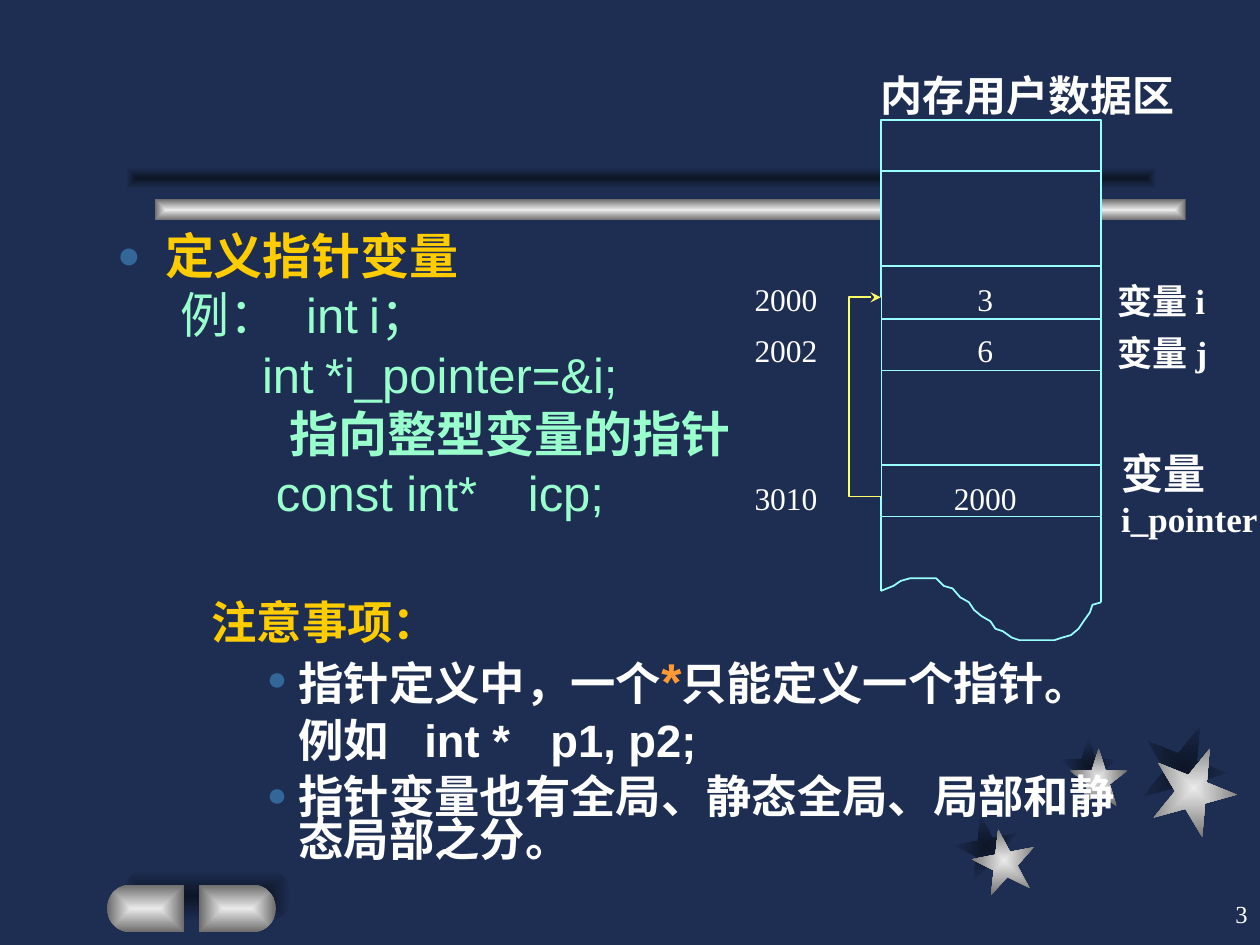
import math

from lxml import etree
from pptx import Presentation
from pptx.dml.color import RGBColor
from pptx.enum.shapes import MSO_CONNECTOR, MSO_SHAPE
from pptx.enum.text import MSO_ANCHOR, MSO_AUTO_SIZE, PP_ALIGN
from pptx.oxml.ns import qn
from pptx.util import Inches, Pt

STAR, RECT, ROUND = MSO_SHAPE.STAR_5_POINT, MSO_SHAPE.RECTANGLE, MSO_SHAPE.ROUNDED_RECTANGLE
STRAIGHT = MSO_CONNECTOR.STRAIGHT
LEFT, CENTER, RIGHT = PP_ALIGN.LEFT, PP_ALIGN.CENTER, PP_ALIGN.RIGHT
MIDDLE, TOP = MSO_ANCHOR.MIDDLE, MSO_ANCHOR.TOP
NO_FIT = MSO_AUTO_SIZE.NONE

COLORS = {
    "navy": "1E2E53", "shade": "0D1526", "silver": "EAEAEA", "gray": "6B6B6B",
    "gold": "FFCC00", "mint": "99FFCC", "white": "FFFFFF", "orange": "FF9933",
    "bullet": "336699", "cell": "99FFFF", "pointer": "FFFF66",
}
SHADOW = ("shade", "navy")
METAL = ("silver", "gray")
SANS, SERIF = "Arial", "Times New Roman"

MEMORY_LEFT, MEMORY_RIGHT = 6.99, 8.74
MEMORY_TOP, MEMORY_BOTTOM = 0.95, 4.1
TORN_EDGE = [
    (6.99, 4.69), (7.09, 4.65), (7.15, 4.61), (7.22, 4.59), (7.43, 4.59), (7.49, 4.65),
    (7.56, 4.67), (7.62, 4.74), (7.69, 4.78), (7.73, 4.84), (7.79, 4.89), (7.86, 4.93),
    (7.9, 4.99), (7.96, 5.01), (8.03, 5.06), (8.09, 5.08), (8.37, 5.08), (8.43, 5.06),
    (8.5, 5.04), (8.56, 4.99), (8.6, 4.93), (8.65, 4.86), (8.67, 4.8), (8.74, 4.78),
]


def rgb(name):
    return RGBColor.from_string(COLORS[name])


def box(left, top, width, height):
    return [Inches(value) for value in (left, top, width, height)]


def fill_from_center(shape, gradient):
    """Fill with a rectangular gradient that runs from the middle outwards."""
    shape.fill.gradient()
    for stop, color in zip(shape.fill.gradient_stops, gradient):
        stop.color.rgb = rgb(color)
    grad = shape.element.spPr.find(qn("a:gradFill"))
    grad.remove(grad.find(qn("a:lin")))
    path = etree.SubElement(grad, qn("a:path"), path="rect")
    etree.SubElement(path, qn("a:fillToRect"), l="50000", t="50000", r="50000", b="50000")
    shape.line.fill.background()
    shape.shadow.inherit = False


def add_ornament(slide, kind, place, gradient, rotation=0):
    ornament = slide.shapes.add_shape(kind, *box(*place))
    ornament.rotation = rotation
    fill_from_center(ornament, gradient)
    return ornament


def add_outline(slide, points, close=False):
    corners = [(Inches(x), Inches(y)) for x, y in points]
    builder = slide.shapes.build_freeform(*corners[0])
    builder.add_line_segments(corners[1:], close=close)
    outline = builder.convert_to_shape()
    outline.shadow.inherit = False
    return outline


def paint(shape, line):
    shape.fill.solid()
    shape.fill.fore_color.rgb = rgb("navy")
    shape.line.color.rgb = rgb(line)
    shape.line.width = Pt(1)
    shape.shadow.inherit = False


def add_half_pill(slide, flat_x, direction):
    """Draw a button half whose round end points in the given direction."""
    radius, middle = 0.19, 7.21
    center = flat_x + direction * (0.61 - radius)
    angles = [math.radians(step) for step in range(-90, 91, 10)]
    arc = [(center + direction * radius * math.cos(a), middle + radius * math.sin(a))
           for a in angles]
    points = [(flat_x, middle - radius), *arc, (flat_x, middle + radius)]
    fill_from_center(add_outline(slide, points, close=True), METAL)


def add_memory_line(slide, x1, y1, x2, y2):
    line = slide.shapes.add_connector(
        STRAIGHT, Inches(x1), Inches(y1), Inches(x2), Inches(y2))
    line.line.color.rgb = rgb("cell")
    line.line.width = Pt(1)
    etree.SubElement(line.element.spPr, qn("a:effectLst"))


def format_run(run, size, color, bold, font):
    run.font.size = Pt(size)
    run.font.color.rgb = rgb(color)
    run.font.bold = bold
    run.font.name = font


def add_label(slide, place, lines, bold=False, align=LEFT, filled=False, anchor=TOP):
    """Add unwrapped text; lines holds pairs of wording and point size."""
    label = slide.shapes.add_textbox(*box(*place))
    if filled:
        label.fill.solid()
        label.fill.fore_color.rgb = rgb("navy")
    frame = label.text_frame
    frame.word_wrap = False
    frame.vertical_anchor = anchor
    frame.text = "\n".join(wording for wording, _ in lines)
    for paragraph, (_, size) in zip(frame.paragraphs, lines):
        paragraph.alignment = align
        format_run(paragraph.runs[0], size, "white", bold, SERIF)


def set_indent(paragraph, margin, hanging, bullet_size, tabs):
    props = paragraph._p.get_or_add_pPr()
    props.set("marL", str(Inches(margin)))
    props.set("indent", str(-Inches(hanging)))
    if bullet_size:
        color = etree.SubElement(props, qn("a:buClr"))
        etree.SubElement(color, qn("a:srgbClr"), val=COLORS["bullet"])
        etree.SubElement(props, qn("a:buSzPct"), val=str(bullet_size * 1000))
        etree.SubElement(props, qn("a:buFont"), typeface=SANS)
        etree.SubElement(props, qn("a:buChar"), char="●")
    else:
        etree.SubElement(props, qn("a:buNone"))
    if tabs:
        stops = etree.SubElement(props, qn("a:tabLst"))
        for tab in tabs:
            etree.SubElement(stops, qn("a:tab"), pos=str(Inches(tab)), algn="l")


def fill_list(frame, items):
    """Each item: level, margin, hanging, bullet percent, tabs, runs."""
    frame.word_wrap = True
    frame.auto_size = NO_FIT
    frame.vertical_anchor = TOP
    for index, (level, margin, hanging, bullet, tabs, runs) in enumerate(items):
        paragraph = frame.add_paragraph() if index else frame.paragraphs[0]
        paragraph.level = level
        paragraph.alignment = LEFT
        paragraph.line_spacing = 0.8
        paragraph.space_before = Pt(7)
        set_indent(paragraph, margin, hanging, bullet, tabs)
        for wording, size, color, bold in runs:
            run = paragraph.add_run()
            run.text = wording
            format_run(run, size, color, bold, SANS)


def add_backdrop(slide):
    slide.background.fill.solid()
    slide.background.fill.fore_color.rgb = rgb("navy")
    stars = [(0.5, 349, (7.58, 6.47), (7.72, 6.58)),
             (0.46, 0, (8.41, 5.85), (8.49, 5.94)),
             (0.67, 22, (9.06, 5.75), (9.14, 5.92))]
    for size, rotation, shadow_at, _ in stars:
        add_ornament(slide, STAR, (*shadow_at, size, size), SHADOW, rotation)
    for size, rotation, _, star_at in stars:
        add_ornament(slide, STAR, (*star_at, size, size), METAL, rotation)
    add_ornament(slide, RECT, (1.23, 1.58, 8.18, 0.17), METAL)
    add_ornament(slide, RECT, (1, 1.33, 8.18, 0.17), SHADOW)
    pill_shadow = add_ornament(slide, ROUND, (0.97, 6.9, 1.34, 0.42), SHADOW)
    pill_shadow.adjustments[0] = 0.5
    add_half_pill(slide, 1.46, -1)
    add_half_pill(slide, 1.58, 1)


def add_memory_diagram(slide):
    memory = slide.shapes.add_shape(RECT, *box(
        MEMORY_LEFT, MEMORY_TOP, MEMORY_RIGHT - MEMORY_LEFT, MEMORY_BOTTOM - MEMORY_TOP))
    paint(memory, "cell")
    for y in (1.36, 2.11, 2.53, 2.94, 3.69):
        add_memory_line(slide, MEMORY_LEFT, y, MEMORY_RIGHT, y)
    for x, end in (TORN_EDGE[0], TORN_EDGE[-1]):
        add_memory_line(slide, x, MEMORY_BOTTOM, x, end)
    paint(add_outline(slide, TORN_EDGE), "cell")

    add_label(slide, (6.89, 0.5, 2.54, 0.5), [("内存用户数据区", 24)], bold=True)
    add_label(slide, (8.77, 2.17, 0.97, 0.43), [("变量 i", 20)], bold=True, filled=True)
    add_label(slide, (8.77, 2.58, 0.98, 0.43), [("变量 j", 20)], bold=True, filled=True)
    add_label(slide, (8.8, 3.5, 1.28, 0.83), [("变量", 24), ("i_pointer", 20)],
              bold=True, filled=True)

    pointer = add_outline(slide, [(6.99, 3.94), (6.74, 3.94), (6.74, 2.36), (6.99, 2.36)])
    paint(pointer, "pointer")
    etree.SubElement(pointer.line._get_or_add_ln(), qn("a:tailEnd"), type="stealth")
    for y, address, value, width in ((2.17, "2000", "3", 0.33), (2.58, "2002", "6", 0.33),
                                     (3.75, "3010", "2000", 0.7)):
        add_label(slide, (5.89, y, 0.7, 0.4), [(address, 18)], filled=True)
        add_label(slide, (7.82 - width / 2, y, width, 0.4), [(value, 18)], align=CENTER)


def main():
    deck = Presentation()
    deck.slide_width, deck.slide_height = Inches(10), Inches(7.5)
    slide = deck.slides.add_slide(deck.slide_layouts[1])
    title, body = slide.placeholders
    title.element.getparent().remove(title.element)
    add_backdrop(slide)

    body.left, body.top, body.width, body.height = box(0.83, 1.83, 7.92, 3)
    slide.shapes._spTree.append(body.element)
    fill_list(body.text_frame, [
        (0, 0.38, 0.38, 80, [], [("定义指针变量", 28, "gold", True)]),
        (1, 0.5, 0, 0, [1.38, 2.22], [("例：\tint\ti；", 28, "mint", False)]),
        (1, 1.15, 0, 0, [1.78], [("int\t*i_pointer=&i;", 28, "mint", False)]),
        (1, 1.37, 0, 0, [], [("指向整型变量的指针", 28, "mint", True)]),
        (1, 1.26, 0, 0, [3.08], [("const int*\ticp;", 28, "mint", False)]),
    ])
    add_memory_diagram(slide)

    notes = slide.shapes.add_textbox(*box(1.08, 4.75, 7.92, 2.25))
    fill_list(notes.text_frame, [
        (1, 0.5, 0, 0, [], [("注意事项：", 25.9, "gold", True)]),
        (2, 1.19, 0.25, 75, [], [("指针定义中，一个", 25.9, "white", True),
                                 ("*", 29.6, "orange", True),
                                 ("只能定义一个指针。", 25.9, "white", True)]),
        (2, 1.19, 0, 0, [2.25, 3.22], [("例如\tint *\tp1, p2;", 25.9, "white", True)]),
        (2, 1.19, 0.25, 75, [], [("指针变量也有全局、静态全局、局部和静态局部之分。",
                                  25.9, "white", True)]),
    ])
    add_label(slide, (7.92, 7, 2.08, 0.5), [("3", 14)], align=RIGHT, anchor=MIDDLE)
    deck.save("out.pptx")


if __name__ == "__main__":
    main()
